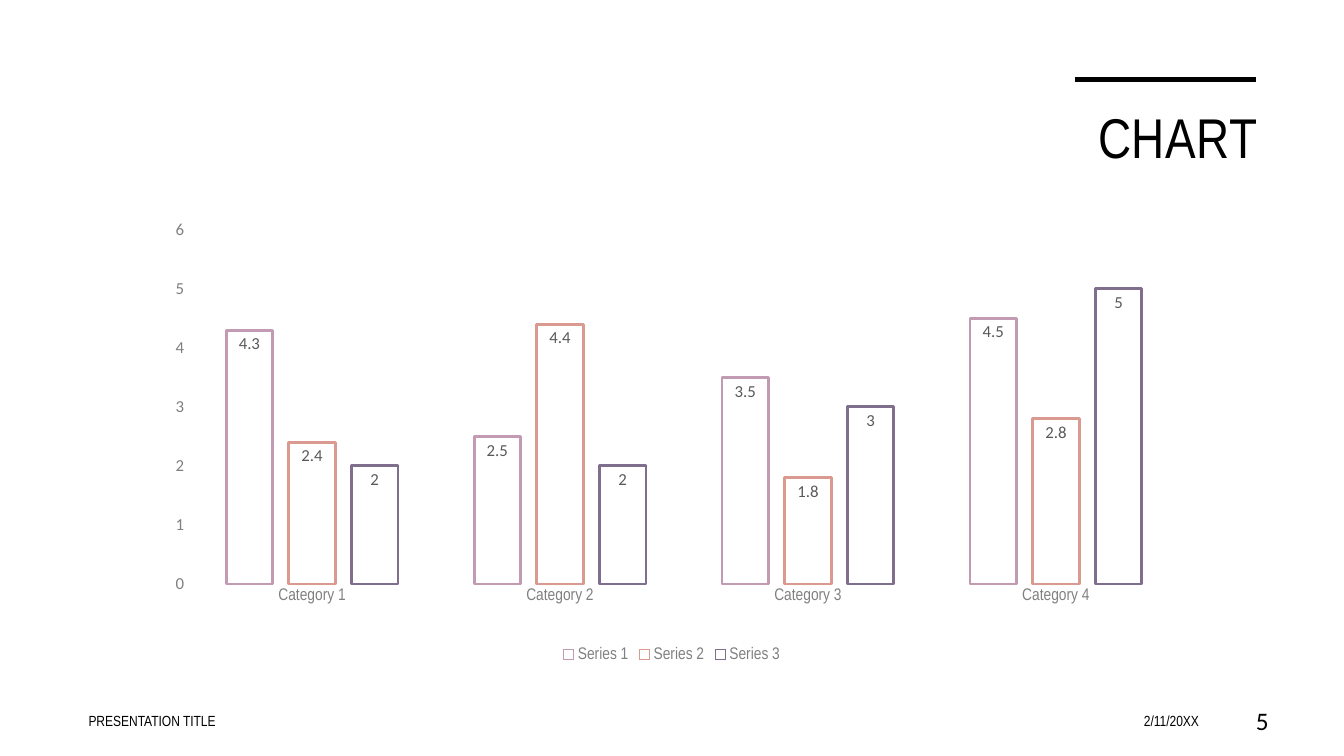
from dataclasses import dataclass

import lxml.etree
import pptx
import pptx.chart.data
import pptx.dml.color
import pptx.enum.chart
import pptx.enum.shapes
import pptx.enum.text
import pptx.oxml.ns
import pptx.util

Inches = pptx.util.Inches
Pt = pptx.util.Pt
RGBColor = pptx.dml.color.RGBColor
Align = pptx.enum.text.PP_ALIGN
Anchor = pptx.enum.text.MSO_ANCHOR
qn = pptx.oxml.ns.qn

BLACK = RGBColor(0x00, 0x00, 0x00)
WHITE = RGBColor(0xFF, 0xFF, 0xFF)
AXIS_GREY = RGBColor(0x80, 0x80, 0x80)
LABEL_GREY = RGBColor(0x59, 0x59, 0x59)
MAUVE = RGBColor(0xC2, 0x9A, 0xB1)
CORAL = RGBColor(0xDB, 0x9A, 0x8F)
PURPLE = RGBColor(0x7F, 0x6E, 0x8C)
NARROW = "Arial Narrow"
CALIBRI = "Calibri"


@dataclass(frozen=True)
class FooterItem:
    text: str
    left: float
    width: float
    align: Align
    size: float
    font: str


@dataclass(frozen=True)
class BarSeries:
    name: str
    values: tuple[float, ...]
    color: RGBColor


FOOTER = (
    FooterItem("PRESENTATION TITLE", 0.78, 4.96, Align.LEFT, 10.5, NARROW),
    FooterItem("2/11/20XX", 9.15, 2.84, Align.RIGHT, 10.5, NARROW),
    FooterItem("5", 11.94, 0.74, Align.RIGHT, 18, CALIBRI),
)
CATEGORIES = [f"Category {number}" for number in range(1, 5)]
SERIES = (
    BarSeries("Series 1", (4.3, 2.5, 3.5, 4.5), MAUVE),
    BarSeries("Series 2", (2.4, 4.4, 1.8, 2.8), CORAL),
    BarSeries("Series 3", (2, 2, 3, 5), PURPLE),
)
PLOT_LAYOUT = {
    "layoutTarget": "inner", "xMode": "edge", "yMode": "edge",
    "x": 0.039, "y": 0.022, "w": 0.945, "h": 0.794,
}


def set_values(target, values: dict) -> None:
    for name, value in values.items():
        setattr(target, name, value)


def set_font(font, name: str, size: float, color: RGBColor) -> None:
    set_values(font, {"name": name, "size": Pt(size), "bold": False})
    font.color.rgb = color


def place(shape, left: float, top: float, width: float, height: float) -> None:
    set_values(shape, {"left": Inches(left), "top": Inches(top),
                       "width": Inches(width), "height": Inches(height)})


def add_title(page) -> None:
    rule = page.shapes.add_connector(
        pptx.enum.shapes.MSO_CONNECTOR.STRAIGHT,
        Inches(10.66), Inches(0.79), Inches(12.46), Inches(0.79))
    rule.line.color.rgb = BLACK
    rule.line.width = Pt(3.5)
    lxml.etree.SubElement(rule._element.spPr, qn("a:effectLst"))

    title = page.shapes.title
    place(title, 0.76, 0.97, 11.81, 1.15)
    set_values(title.text_frame, {
        "word_wrap": True, "vertical_anchor": Anchor.TOP,
        "auto_size": pptx.enum.text.MSO_AUTO_SIZE.NONE})
    para = title.text_frame.paragraphs[0]
    para.alignment = Align.RIGHT
    span = para.add_run()
    span.text = "CHART"
    set_font(span.font, NARROW, 40, BLACK)
    span.font._element.set("spc", "30")


def add_footer_item(page, item: FooterItem) -> None:
    box = page.shapes.add_textbox(Inches(item.left), Inches(6.95),
                                  Inches(item.width), Inches(0.4))
    set_values(box.text_frame, {"word_wrap": True, "vertical_anchor": Anchor.MIDDLE})
    para = box.text_frame.paragraphs[0]
    para.alignment = item.align
    span = para.add_run()
    span.text = item.text
    set_font(span.font, item.font, item.size, BLACK)


def format_axis(axis, font: str) -> None:
    no_tick = pptx.enum.chart.XL_TICK_MARK.NONE
    set_values(axis, {"has_major_gridlines": False,
                      "major_tick_mark": no_tick, "minor_tick_mark": no_tick})
    axis.format.line.fill.background()
    set_font(axis.tick_labels.font, font, 12, AXIS_GREY)


def set_plot_layout(chart) -> None:
    area = chart._chartSpace.find(".//" + qn("c:plotArea"))
    for old in area.findall(qn("c:layout")):
        area.remove(old)
    layout = area.makeelement(qn("c:layout"), {})
    area.insert(0, layout)
    manual = lxml.etree.SubElement(layout, qn("c:manualLayout"))
    for name, value in PLOT_LAYOUT.items():
        lxml.etree.SubElement(manual, qn(f"c:{name}")).set("val", str(value))


def add_chart(page) -> None:
    data = pptx.chart.data.CategoryChartData()
    data.categories = CATEGORIES
    for item in SERIES:
        data.add_series(item.name, item.values)
    chart = page.shapes.add_chart(
        pptx.enum.chart.XL_CHART_TYPE.COLUMN_CLUSTERED,
        Inches(1.46), Inches(2.18), Inches(10.41), Inches(4.43), data).chart
    set_values(chart, {"has_title": False, "has_legend": True})
    set_font(chart.font, CALIBRI, 10, BLACK)
    set_plot_layout(chart)

    # Axes and legend
    format_axis(chart.category_axis, NARROW)
    format_axis(chart.value_axis, CALIBRI)
    set_values(chart.value_axis, {"minimum_scale": 0, "maximum_scale": 6, "major_unit": 1})
    set_values(chart.legend, {
        "position": pptx.enum.chart.XL_LEGEND_POSITION.BOTTOM, "include_in_layout": False})
    set_font(chart.legend.font, NARROW, 12, AXIS_GREY)

    # Outlined columns
    plot = chart.plots[0]
    set_values(plot, {"gap_width": 164, "overlap": -35, "vary_by_categories": False})
    for series, item in zip(plot.series, SERIES):
        series.format.fill.background()
        series.format.line.color.rgb = item.color
        series.format.line.width = Pt(2)
        labels = series.data_labels
        set_values(labels, {
            "show_value": True,
            "position": pptx.enum.chart.XL_LABEL_POSITION.INSIDE_END})
        set_font(labels.font, CALIBRI, 12, LABEL_GREY)


def main() -> None:
    deck = pptx.Presentation()
    set_values(deck, {"slide_width": Inches(13.33), "slide_height": Inches(7.5)})
    page = deck.slides.add_slide(deck.slide_layouts.get_by_name("Title Only"))
    page.background.fill.solid()
    page.background.fill.fore_color.rgb = WHITE
    add_title(page)
    add_chart(page)
    for item in FOOTER:
        add_footer_item(page, item)
    deck.save("out.pptx")


if __name__ == "__main__":
    main()
